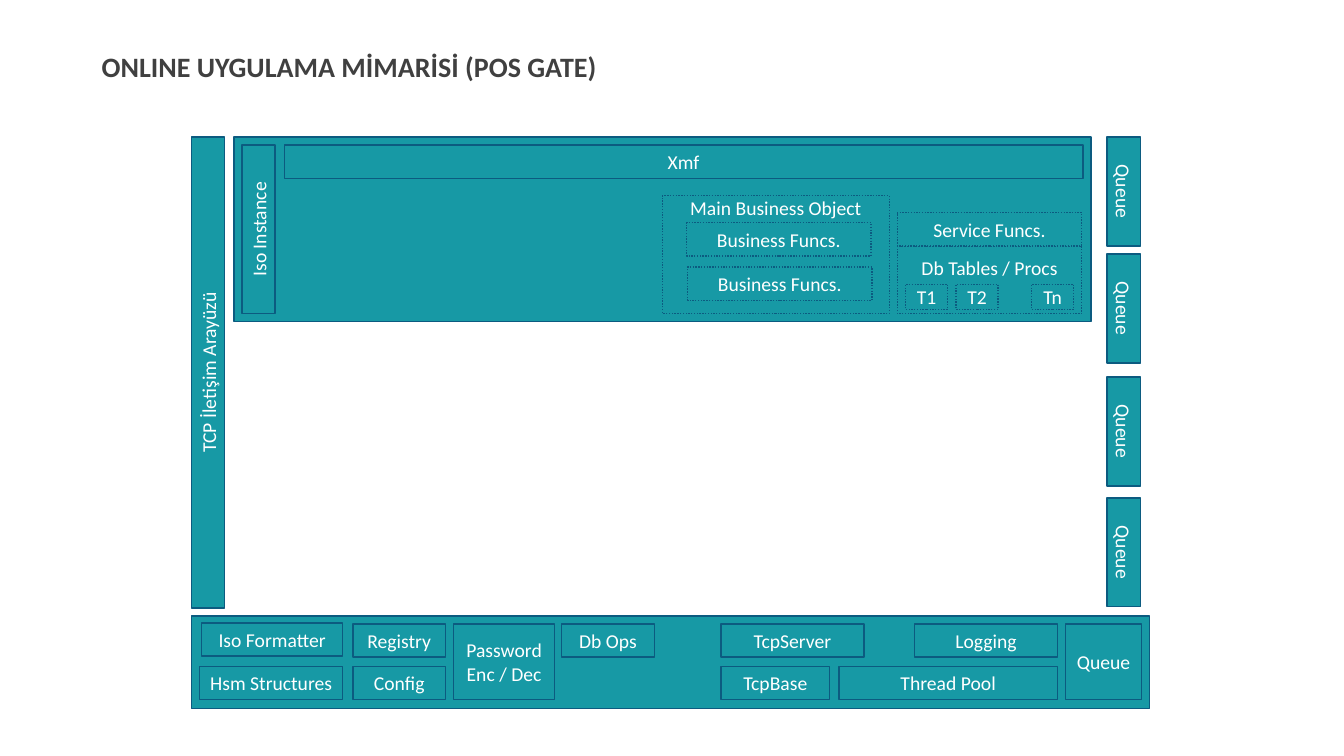
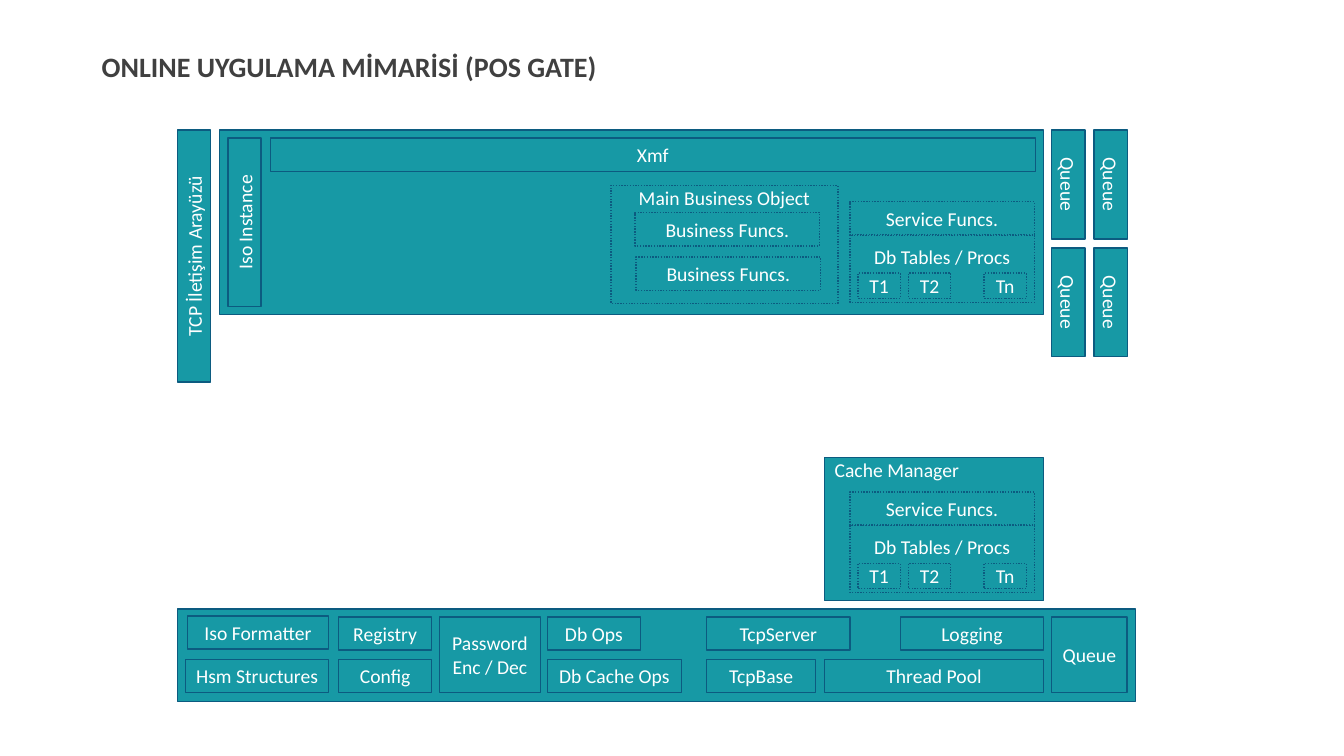
import dataclasses
import typing

import pptx
import pptx.dml.color
import pptx.enum.dml
import pptx.enum.shapes
import pptx.enum.text
import pptx.shapes.shapetree
import pptx.slide
import pptx.util

Inches = pptx.util.Inches
Align = pptx.enum.text.PP_ALIGN
Anchor = pptx.enum.text.MSO_ANCHOR
Shapes = typing.Union[pptx.shapes.shapetree.SlideShapes, pptx.shapes.shapetree.GroupShapes]

TITLE = "ONLINE UYGULAMA MİMARİSİ (POS GATE)"
QUEUE_LABEL = "Queue"
FONT = "Calibri"
TEAL, NAVY, WHITE, GREY = "1799A5", "0C5B80", "FFFFFF", "404040"
ROW = 0.33  # height of a one-line box, and width of an upright one
UPWARD, DOWNWARD = 270, 90


@dataclasses.dataclass(frozen=True)
class Box:
    """A labelled rectangle, given by the area it covers on the slide."""
    label: str
    left: float
    top: float
    width: float
    height: float = ROW
    turn: int = 0
    dotted: bool = False
    heading_inset: typing.Optional[float] = None  # set: label hangs from the top edge
    align: Align = Align.CENTER

    def moved(self, dx: float, dy: float) -> "Box":
        return dataclasses.replace(self, left=self.left + dx, top=self.top + dy)


@dataclasses.dataclass(frozen=True)
class Architecture:
    """Where the parts of one slide stand."""
    tcp: Box
    engine: Box
    business_at: tuple[float, float]
    data_at: list[tuple[float, float]]
    queues_at: list[tuple[float, float]]
    platform_at: tuple[float, float]
    cache: typing.Optional[Box] = None
    extra_modules: tuple[Box, ...] = ()


# Positions below are relative to the top left corner of each part.
PLATFORM = [
    Box("", 0, 0, 9.5, 0.92),
    Box("Iso Formatter", 0.1, 0.07, 1.4),
    Box("Hsm Structures", 0.08, 0.5, 1.42),
    Box("Registry", 1.6, 0.08, 0.92),
    Box("Config", 1.6, 0.5, 0.92),
    Box("Password Enc / Dec", 2.6, 0.08, 1, 0.75),
    Box("Db Ops", 3.67, 0.08, 0.92),
    Box("TcpServer", 5.25, 0.08, 1.42),
    Box("TcpBase", 5.25, 0.5, 1.08),
    Box("Logging", 7.17, 0.08, 1.42),
    Box("Thread Pool", 6.42, 0.5, 2.17),
    Box(QUEUE_LABEL, 8.67, 0.08, 0.75, 0.75),
]
DATA_ACCESS = [
    Box("Db Tables / Procs", 0, ROW, 1.83, 0.67, dotted=True, heading_inset=0.1),
    *(Box(table, x, 0.71, 0.42, 0.25, dotted=True)
      for table, x in (("T1", 0.08), ("T2", 0.58), ("Tn", 1.33))),
    Box("Service Funcs.", 0, 0, 1.83, dotted=True),
]
BUSINESS = [
    Box("Main Business Object", 0, 0, 2.25, 1.17, dotted=True, heading_inset=0),
    Box("Business Funcs.", 0.24, 0.27, 1.83, dotted=True),
    Box("Business Funcs.", 0.25, 0.71, 1.83, dotted=True),
]
QUEUE = Box(QUEUE_LABEL, 0, 0, ROW, 1.08, DOWNWARD)

ARCHITECTURES = [
    Architecture(
        tcp=Box("TCP İletişim Arayüzü", 1.9, 1.36, ROW, 4.67, UPWARD),
        engine=Box("", 2.32, 1.36, 8.5, 1.83),
        business_at=(6.57, 1.94),
        data_at=[(8.9, 2.11)],
        queues_at=[(10.98, y) for y in (1.36, 2.52, 3.74, 4.94)],
        platform_at=(1.9, 6.11),
    ),
    Architecture(
        tcp=Box("TCP İletişim Arayüzü", 1.76, 1.29, ROW, 2.5, UPWARD),
        engine=Box("", 2.18, 1.29, 8.17, 1.83),
        business_at=(6.06, 1.84),
        data_at=[(8.43, 2), (8.43, 4.88)],
        queues_at=[(x, y) for x in (10.43, 10.85) for y in (1.29, 2.46)],
        platform_at=(1.76, 6.04),
        cache=Box("Cache Manager", 8.18, 4.54, 2.17, 1.42,
                  heading_inset=0, align=Align.LEFT),
        extra_modules=(Box("Db Cache Ops", 3.67, 0.5, 1.33),),
    ),
]


def rgb(value: str) -> pptx.dml.color.RGBColor:
    return pptx.dml.color.RGBColor.from_string(value)


def add_run(paragraph: typing.Any, text: str, size: float, color: str, bold: bool = False) -> None:
    run = paragraph.add_run()
    run.text = text
    run.font.name = FONT
    run.font.size = pptx.util.Pt(size)
    run.font.bold = bold
    run.font.color.rgb = rgb(color)


def draw_box(shapes: Shapes, box: Box) -> None:
    width, height = (box.height, box.width) if box.turn else (box.width, box.height)
    rectangle = shapes.add_shape(
        pptx.enum.shapes.MSO_SHAPE.RECTANGLE,
        Inches(box.left + (box.width - width) / 2),
        Inches(box.top + (box.height - height) / 2),
        Inches(width), Inches(height))
    rectangle.rotation = box.turn
    rectangle.shadow.inherit = False
    rectangle.fill.solid()
    rectangle.fill.fore_color.rgb = rgb(TEAL)
    rectangle.line.color.rgb = rgb(NAVY)
    rectangle.line.width = pptx.util.Pt(1)
    if box.dotted:
        rectangle.line.dash_style = pptx.enum.dml.MSO_LINE.ROUND_DOT
    if not box.label:
        return
    frame = rectangle.text_frame
    frame.word_wrap = True
    frame.margin_left = frame.margin_right = Inches(0.1 if box.align == Align.LEFT else 0.05)
    frame.vertical_anchor = Anchor.MIDDLE
    if box.heading_inset is not None:
        frame.vertical_anchor = Anchor.TOP
        frame.margin_top = Inches(box.heading_inset)
    frame.paragraphs[0].alignment = box.align
    add_run(frame.paragraphs[0], box.label, 14, WHITE)


def draw_part(shapes: Shapes, boxes: typing.Iterable[Box], at: tuple[float, float]) -> None:
    for box in boxes:
        draw_box(shapes, box.moved(*at))


def draw_title(slide: pptx.slide.Slide) -> None:
    title = slide.shapes.add_textbox(Inches(0.91), Inches(0.44), Inches(5.15), Inches(0.44))
    title.text_frame.word_wrap = False
    title.text_frame.auto_size = pptx.enum.text.MSO_AUTO_SIZE.SHAPE_TO_FIT_TEXT
    add_run(title.text_frame.paragraphs[0], TITLE, 20, GREY, bold=True)


def draw_engine(shapes: Shapes, engine: Box) -> None:
    draw_box(shapes, engine)
    contents = [
        Box("Iso Instance", 0.08, 0.08, ROW, 1.67, UPWARD),
        Box("Xmf", 0.5, 0.08, engine.width - 0.58),
    ]
    draw_part(shapes, contents, (engine.left, engine.top))


def draw_architecture(slide: pptx.slide.Slide, plan: Architecture) -> None:
    shapes = slide.shapes
    draw_title(slide)
    draw_part(shapes, [*PLATFORM, *plan.extra_modules], plan.platform_at)
    draw_box(shapes, plan.tcp)
    for at in plan.queues_at:
        draw_part(shapes, [QUEUE], at)
    draw_engine(shapes, plan.engine)
    if plan.cache:
        draw_box(shapes, plan.cache)
    for at in plan.data_at:
        draw_part(shapes.add_group_shape().shapes, DATA_ACCESS, at)
    draw_part(shapes.add_group_shape().shapes, BUSINESS, plan.business_at)


def main() -> None:
    deck = pptx.Presentation()
    deck.slide_width, deck.slide_height = Inches(13.33), Inches(7.5)
    blank = deck.slide_layouts[6]
    for plan in ARCHITECTURES:
        draw_architecture(deck.slides.add_slide(blank), plan)
    deck.save("out.pptx")


if __name__ == "__main__":
    main()
